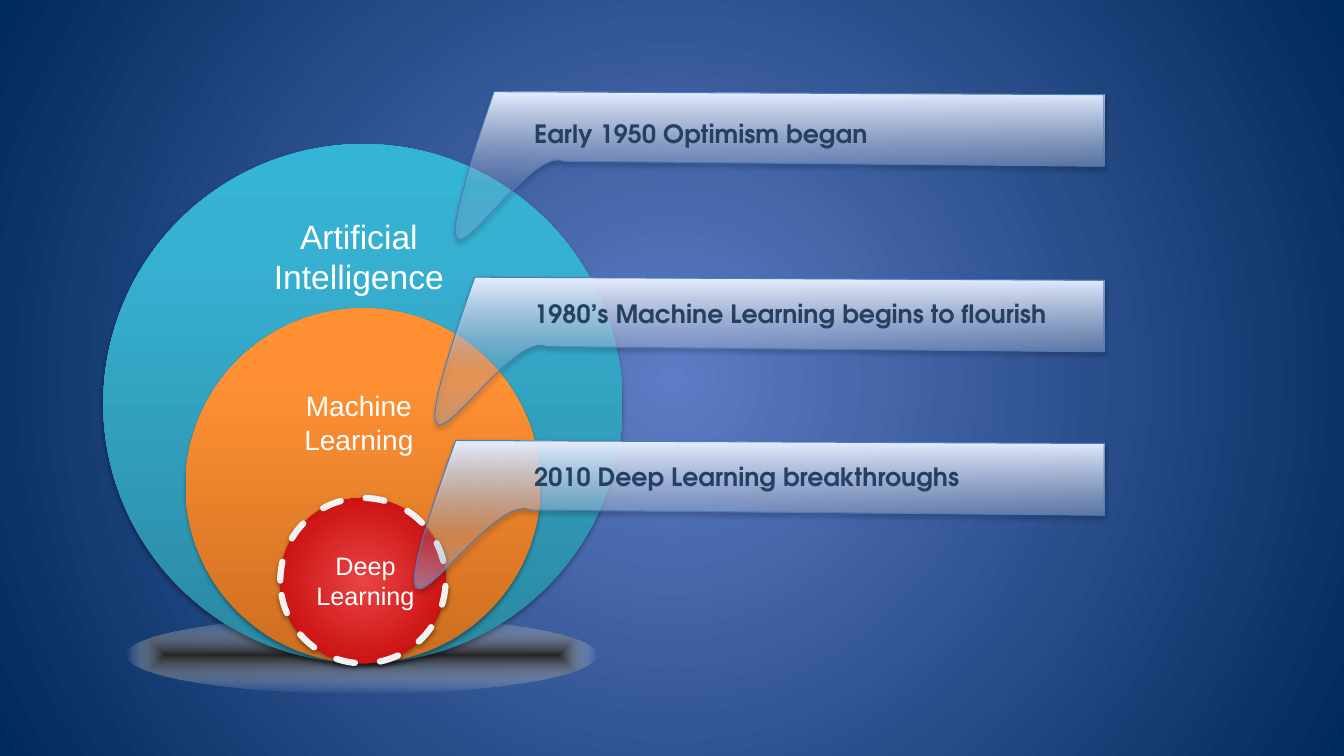
"""Build a slide of nested AI circles with a dated callout for each."""
from lxml import etree
from pptx import Presentation, util as u
from pptx.dml.color import RGBColor
from pptx.enum import dml, shapes, text
from pptx.oxml.ns import qn

WIDTH, HEIGHT = 13.33, 7.5
CENTER, FLOOR, RIGHT = 3.6, 6.58, 10.95
BACKDROP = [(0, "5E7CC5", 100), (100, "00295C", 100)]
FLOOR_SHADE = [(0, "262626", 100), (100, "FFFFFF", 0)]
CIRCLES = [
    (5.15, [(0, "2A88A2", 100), (80, "37B1D2", 100), (100, "34B4D6", 100)], None, 35, 1.8),
    (3.52, [(0, "CC6E20", 100), (80, "FF9034", 100), (100, "FF9136", 100)], None, 35, 1.8),
    (1.64, [(0, "E94343", 100), (100, "C00000", 100)], "circle", 38, 1.6),
]
LABELS = [
    ("Artificial Intelligence", (2.38, 2.09, 2.36, 0.91), 24),
    ("Machine Learning", (2.38, 3.81, 2.36, 0.77), 20),
    ("Deep Learning", (2.74, 5.41, 1.77, 0.71), 18),
]
CALLOUTS = [
    ("Early 1950 Optimism began", 0.91, 6.05, 1.12, 28, 15),
    ("1980’s Machine Learning begins to flourish", 2.75, 6.24, 2.91, 29, 16),
    ("2010 Deep Learning breakthroughs", 4.37, 6.43, 4.53, 49, 16),
]
BODY = [(1, 0), (0, 0.03), (0, 0.74), (0.885, 0.69), (1.064, 1.47)]
TAIL = [(0.958, 0.47), (1.168, 2.97), (1, 0)]


def color(value):
    """Turn a hex string into a colour."""
    return RGBColor.from_string(value)


def gradient(stops, shade=None):
    """Make a gradient that rises from the bottom or spreads from the centre."""
    fill = etree.Element(qn("a:gradFill"), rotWithShape="1")
    stop_list = etree.SubElement(fill, qn("a:gsLst"))
    for place, value, alpha in stops:
        stop = etree.SubElement(stop_list, qn("a:gs"), pos=str(place * 1000))
        tint = etree.SubElement(stop, qn("a:srgbClr"), val=value)
        if alpha < 100:
            etree.SubElement(tint, qn("a:alpha"), val=str(alpha * 1000))
    if shade:
        spread = etree.SubElement(fill, qn("a:path"), path=shade)
        etree.SubElement(spread, qn("a:fillToRect"), **dict.fromkeys("ltrb", "50000"))
    else:
        etree.SubElement(fill, qn("a:lin"), ang="16200000", scaled="0")
    return fill


def paint(shape, stops, shade=None, shadow=None):
    """Give a shape a gradient, no line and an optional drop shadow."""
    shape.fill.background()
    properties = shape.element.spPr
    properties.replace(properties.find(qn("a:noFill")), gradient(stops, shade))
    shape.line.fill.background()
    shape.shadow.inherit = False
    if shadow:
        alpha, distance = shadow
        drop = etree.SubElement(
            properties.find(qn("a:effectLst")), qn("a:outerShdw"), blurRad=str(u.Pt(3.1)),
            dist=str(u.Pt(distance)), dir="5400000", rotWithShape="0")
        tint = etree.SubElement(drop, qn("a:srgbClr"), val="000000")
        etree.SubElement(tint, qn("a:alpha"), val=str(alpha * 1000))


def outline(shape, value, width):
    """Draw a solid line around a shape."""
    shape.line.color.rgb = color(value)
    shape.line.width = u.Pt(width)


def add_ellipse(page, *place):
    """Add an ellipse at a place in inches."""
    return page.shapes.add_shape(shapes.MSO_SHAPE.OVAL, *map(u.Inches, place))


def add_text(page, words, place, size, font, value, bold=False, align=text.PP_ALIGN.LEFT):
    """Add a wrapped text box with one run."""
    box = page.shapes.add_textbox(*map(u.Inches, place))
    box.text_frame.word_wrap = True
    box.text_frame.auto_size = text.MSO_AUTO_SIZE.SHAPE_TO_FIT_TEXT
    para = box.text_frame.paragraphs[0]
    para.alignment = align
    span = para.add_run()
    span.text = words
    span.font.size, span.font.name, span.font.bold = u.Pt(size), font, bold
    span.font.color.rgb = color(value)


def add_callout(page, top, width):
    """Add a banner whose last corner becomes a curved tail."""
    def locate(points):
        return [(u.Inches(RIGHT - share * width), u.Inches(top + drop)) for share, drop in points]

    start, *corners = locate(BODY)
    builder = page.shapes.build_freeform(*start)
    builder.add_line_segments(corners, close=True)
    callout = builder.convert_to_shape()
    corner = callout.element.findall(".//" + qn("a:lnTo"))[-1]
    curve = etree.Element(qn("a:cubicBezTo"))
    for x, y in locate(TAIL):
        etree.SubElement(curve, qn("a:pt"), x=str(x - callout.left), y=str(y - callout.top))
    corner.getparent().replace(corner, curve)
    return callout


def main():
    """Build and save the deck."""
    deck = Presentation()
    deck.slide_width, deck.slide_height = u.Inches(WIDTH), u.Inches(HEIGHT)
    page = deck.slides.add_slide(deck.slide_layouts[6])
    page.background.fill.solid()
    solid = page.element.find(".//" + qn("p:bgPr")).find(qn("a:solidFill"))
    solid.getparent().replace(solid, gradient(BACKDROP, "circle"))

    paint(add_ellipse(page, 1.26, 6.12, 4.66, 0.76), FLOOR_SHADE, "shape")
    for size, stops, shade, alpha, distance in CIRCLES:
        circle = add_ellipse(page, CENTER - size / 2, FLOOR - size, size, size)
        paint(circle, stops, shade, (alpha, distance))
    outline(circle, "F2F2F2", 4.5)
    circle.line.dash_style = dml.MSO_LINE.DASH
    circle.element.spPr.find(qn("a:ln")).set("cap", "rnd")
    for words, place, size in LABELS:
        add_text(page, words, place, size, "Arial", "FFFFFF", align=text.PP_ALIGN.CENTER)

    for _, top, width, _, low, middle in CALLOUTS:
        callout = add_callout(page, top, width)
        paint(callout, [(0, "A4C4FF", low), (35, "BFD4FF", middle), (100, "E6EEFF", 100)],
              shadow=(38, 1.6))
        outline(callout, "4B7EBC", 0.75)
    for words, _, _, text_top, _, _ in CALLOUTS:
        add_text(page, words, (5.2, text_top, 5.88, 0.4), 18, "TeX Gyre Adventor", "254061", True)
    deck.save("out.pptx")


if __name__ == "__main__":
    main()
